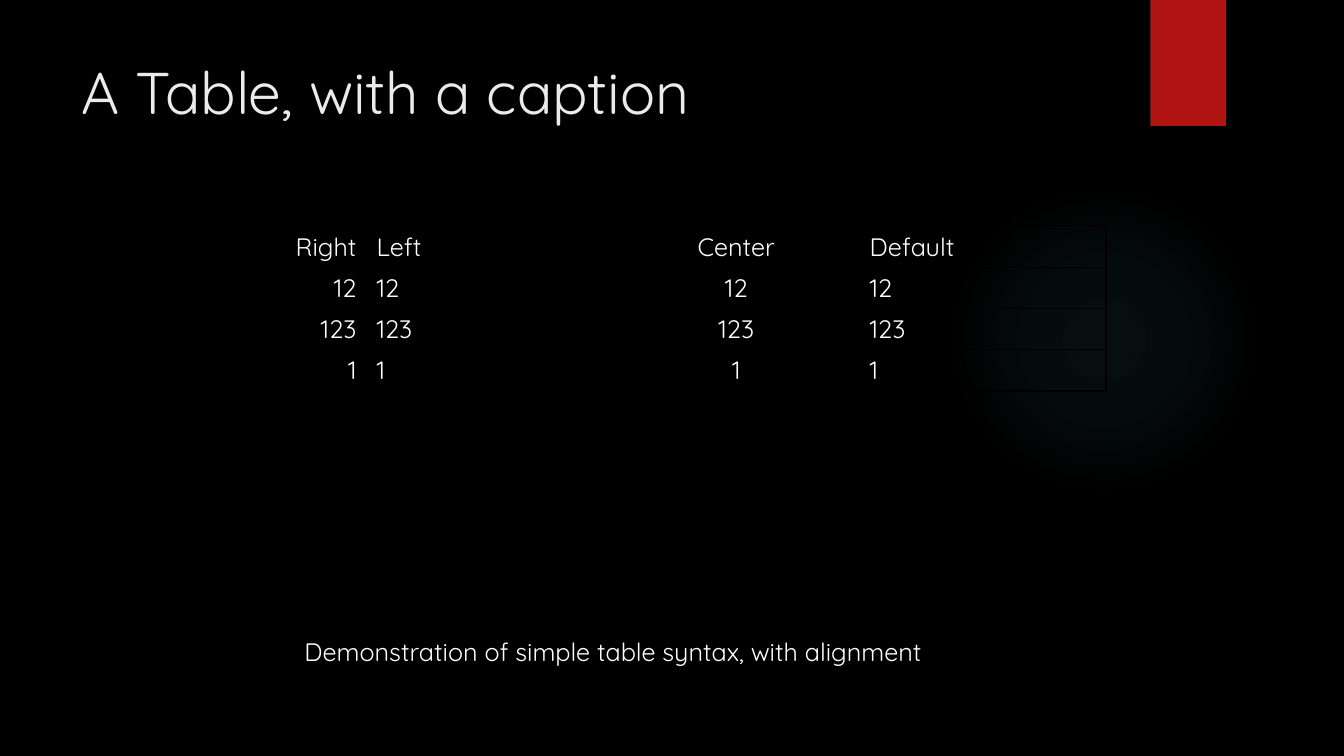
import dataclasses

import lxml.etree
import pptx
import pptx.dml.color
import pptx.enum.shapes
import pptx.enum.text
import pptx.oxml
import pptx.oxml.ns
import pptx.util

Inches = pptx.util.Inches
ALIGN = pptx.enum.text.PP_ALIGN
SHAPE = pptx.enum.shapes.MSO_SHAPE


@dataclasses.dataclass(frozen=True)
class Theme:
    font: str = "Quicksand"
    background: str = "000000"
    border: str = "000000"
    title: str = "EBEBEB"
    body: str = "FFFFFF"
    ribbon: str = "B01513"
    glow: str = "50B9C1"
    glow_stops: tuple = ((0, 7), (36, 6), (69, 0))
    title_size: int = 42
    body_size: int = 18
    border_width: int = 1


@dataclasses.dataclass(frozen=True)
class Box:
    left: float
    top: float
    width: float
    height: float

    def lengths(self):
        return [Inches(value) for value in dataclasses.astuple(self)]


THEME = Theme()
COLUMNS = (
    ("Right", ALIGN.RIGHT),
    ("Left", ALIGN.LEFT),
    ("Center", ALIGN.CENTER),
    ("Default", ALIGN.LEFT),
)
VALUES = ("12", "123", "1")
ROW_HEIGHT = 0.41


def rgb(color):
    return pptx.dml.color.RGBColor.from_string(color)


def write(frame, text, size, color, align=ALIGN.LEFT):
    para = frame.paragraphs[0]
    para.alignment = align
    span = para.add_run()
    span.text = text
    span.font.name = THEME.font
    span.font.size = pptx.util.Pt(size)
    span.font.color.rgb = rgb(color)


def add_text(page, box, text, size, color, align=ALIGN.LEFT):
    frame = page.shapes.add_textbox(*box.lengths()).text_frame
    frame.word_wrap = True
    frame.vertical_anchor = pptx.enum.text.MSO_ANCHOR.TOP
    write(frame, text, size, color, align)


def add_plain_shape(page, kind, box):
    shape = page.shapes.add_shape(kind, *box.lengths())
    shape.shadow.inherit = False
    shape.line.fill.background()
    return shape


def add_glow(page, box):
    glow = add_plain_shape(page, SHAPE.OVAL, box)
    stops = "".join(
        f'<a:gs pos="{position * 1000}"><a:srgbClr val="{THEME.glow}">'
        f'<a:alpha val="{opacity * 1000}"/></a:srgbClr></a:gs>'
        for position, opacity in THEME.glow_stops
    )
    gradient = pptx.oxml.parse_xml(
        f'<a:gradFill {pptx.oxml.ns.nsdecls("a")} rotWithShape="1">'
        f'<a:gsLst>{stops}</a:gsLst><a:path path="circle">'
        '<a:fillToRect l="50000" t="50000" r="50000" b="50000"/>'
        '</a:path></a:gradFill>'
    )
    geometry = glow.element.spPr.find(pptx.oxml.ns.qn("a:prstGeom"))
    geometry.addnext(gradient)


def add_ribbon(page, box):
    ribbon = add_plain_shape(page, SHAPE.RECTANGLE, box)
    ribbon.fill.solid()
    ribbon.fill.fore_color.rgb = rgb(THEME.ribbon)


def set_borders(cell):
    properties = cell._tc.get_or_add_tcPr()
    for index, side in enumerate(("lnL", "lnR", "lnT", "lnB")):
        line = lxml.etree.Element(
            pptx.oxml.ns.qn(f"a:{side}"), w=str(pptx.util.Pt(THEME.border_width))
        )
        fill = lxml.etree.SubElement(line, pptx.oxml.ns.qn("a:solidFill"))
        lxml.etree.SubElement(fill, pptx.oxml.ns.qn("a:srgbClr"), val=THEME.border)
        properties.insert(index, line)


def add_alignment_table(page, box):
    row_count = len(VALUES) + 1
    table = page.shapes.add_table(row_count, len(COLUMNS), *box.lengths()).table
    table.first_row = False
    table.horz_banding = False
    for row in table.rows:
        row.height = Inches(ROW_HEIGHT)
    for column_index, (heading, align) in enumerate(COLUMNS):
        table.columns[column_index].width = Inches(box.width / len(COLUMNS))
        for row_index, text in enumerate((heading, *VALUES)):
            cell = table.cell(row_index, column_index)
            cell.fill.background()
            set_borders(cell)
            write(cell.text_frame, text, THEME.body_size, THEME.body, align)


def add_captioned_table(page, box):
    caption_height = 0.56
    table_height = ROW_HEIGHT * (len(VALUES) + 1)
    add_alignment_table(page, Box(box.left, box.top, box.width, table_height))
    caption_top = box.top + box.height - caption_height
    add_text(
        page,
        Box(box.left, caption_top, box.width, caption_height),
        "Demonstration of simple table syntax, with alignment",
        THEME.body_size,
        THEME.body,
        ALIGN.CENTER,
    )


def main():
    deck = pptx.Presentation()
    deck.slide_width, deck.slide_height = Inches(13.33), Inches(7.5)
    page = deck.slides.add_slide(deck.slide_layouts[6])
    page.background.fill.solid()
    page.background.fill.fore_color.rgb = rgb(THEME.background)
    add_glow(page, Box(9.41, 1.83, 3.08, 3.08))
    add_ribbon(page, Box(11.41, 0, 0.75, 1.25))
    add_text(
        page,
        Box(0.71, 0.5, 10.29, 1.53),
        "A Table, with a caption",
        THEME.title_size,
        THEME.title,
    )
    add_captioned_table(page, Box(1.19, 2.24, 9.78, 4.58))
    deck.save("out.pptx")


if __name__ == "__main__":
    main()
